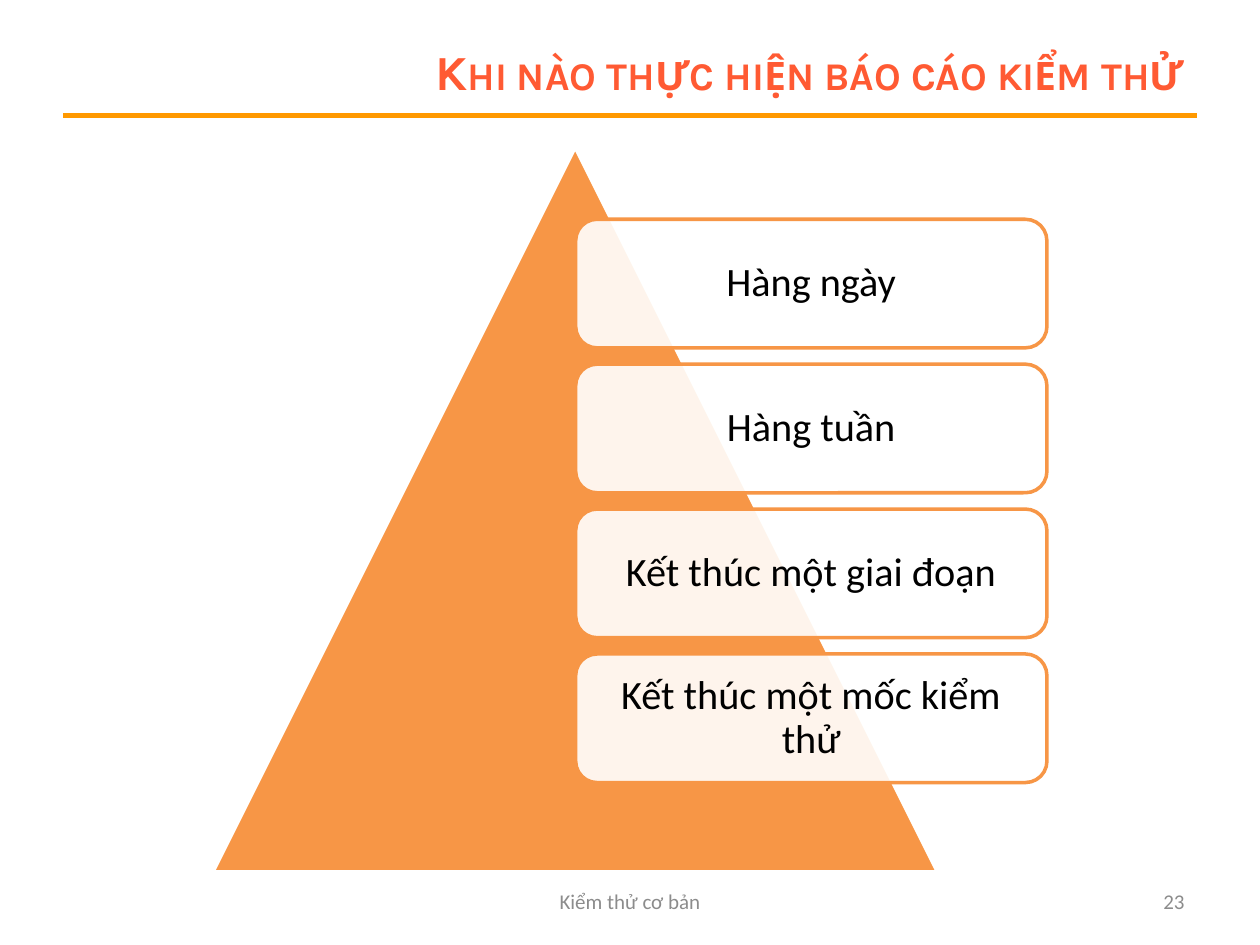
from dataclasses import dataclass

from pptx import Presentation
from pptx.dml.color import RGBColor as Rgb
from pptx.enum.shapes import MSO_CONNECTOR as Link, MSO_SHAPE as Form
from pptx.enum.text import MSO_ANCHOR as Anchor, MSO_AUTO_SIZE as Fit, PP_ALIGN as Align
from pptx.oxml.ns import qn
from pptx.util import Pt


@dataclass(frozen=True)
class Theme:
    white: Rgb = Rgb.from_string("FFFFFF")
    black: Rgb = Rgb.from_string("000000")
    gray: Rgb = Rgb.from_string("8C8C8C")
    rule: Rgb = Rgb.from_string("FF9900")
    head: Rgb = Rgb.from_string("FF5A33")
    main: Rgb = Rgb.from_string("F79646")
    title: int = 28
    body: int = 23
    foot: int = 12


class Deck:
    def __init__(self, theme):
        self.theme = theme
        self.file = Presentation()
        self.file.slide_width, self.file.slide_height = Pt(720), Pt(540)
        self.slide = self.file.slides.add_slide(self.file.slide_layouts[5])
        self.items = self.slide.shapes

    def label(self, shape, text, align, font, pad=None):
        frame = shape.text_frame
        form = {"word_wrap": True, "auto_size": Fit.NONE, "vertical_anchor": Anchor.MIDDLE}
        if pad is not None:
            sides = ("left", "top", "right", "bottom")
            form.update({f"margin_{side}": Pt(pad) for side in sides})
        for key, value in form.items():
            setattr(frame, key, value)
        para = frame.paragraphs[0]
        para.alignment = align
        run = para.add_run()
        run.text = text
        for key, value in font.items():
            if key == "color":
                run.font.color.rgb = value
            else:
                setattr(run.font, key, value)
        return para, run

    def title(self, text, *area):
        shape = self.items.title
        form = zip(("left", "top", "width", "height"), map(Pt, area))
        for key, value in form:
            setattr(shape, key, value)
        font = {"name": "Karla", "size": Pt(self.theme.title), "bold": True,
                "color": self.theme.head}
        para, run = self.label(shape, text, Align.RIGHT, font)
        run.font._element.set("cap", "small")

    def rule(self, left, right, y):
        line = self.items.add_connector(Link.STRAIGHT, *map(Pt, (left, y, right, y)))
        line.line.color.rgb = self.theme.rule
        line.line.width = Pt(3)
        props = line._element.spPr
        props.append(props.makeelement(qn("a:effectLst"), {}))

    def shape(self, form, area, fill, edge, alpha=100):
        shape = self.items.add_shape(form, *map(Pt, area))
        shape.shadow.inherit = False
        shape.fill.solid()
        shape.fill.fore_color.rgb = fill
        shape.line.color.rgb = edge
        shape.line.width = Pt(2)
        if alpha < 100:
            color = shape._element.spPr.find(qn("a:solidFill"))[0]
            color.append(color.makeelement(qn("a:alpha"), {"val": str(alpha * 1000)}))
        return shape

    def card(self, text, *area):
        theme = self.theme
        shape = self.shape(Form.ROUNDED_RECTANGLE, area, theme.white, theme.main, 90)
        font = {"name": "Calibri", "size": Pt(theme.body), "color": theme.black}
        para, run = self.label(shape, text, Align.CENTER, font, 7.2)
        para.line_spacing = 0.9

    def foot(self, text, align, *area):
        box = self.items.add_textbox(*map(Pt, area))
        font = {"name": "Calibri", "size": Pt(self.theme.foot), "color": self.theme.gray}
        self.label(box, text, align, font)


def main():
    theme = Theme()
    deck = Deck(theme)
    deck.rule(36, 684, 66.2)
    deck.title("Khi nào thực hiện báo cáo kiểm thử", 162, 21.6, 522, 38.2)
    deck.shape(Form.ISOSCELES_TRIANGLE, (121.7, 84.2, 414, 414), theme.main, theme.white)
    times = ("Hàng ngày", "Hàng tuần", "Kết thúc một giai đoạn", "Kết thúc một mốc kiểm thử")
    for row, text in enumerate(times):
        deck.card(text, 329, 125.3 + row * 82.8, 269.3, 73.5)
    deck.foot("Kiểm thử cơ bản", Align.CENTER, 246, 500.5, 228, 28.8)
    deck.foot("23", Align.RIGHT, 516, 500.5, 168, 28.8)
    deck.file.save("out.pptx")


if __name__ == "__main__":
    main()
